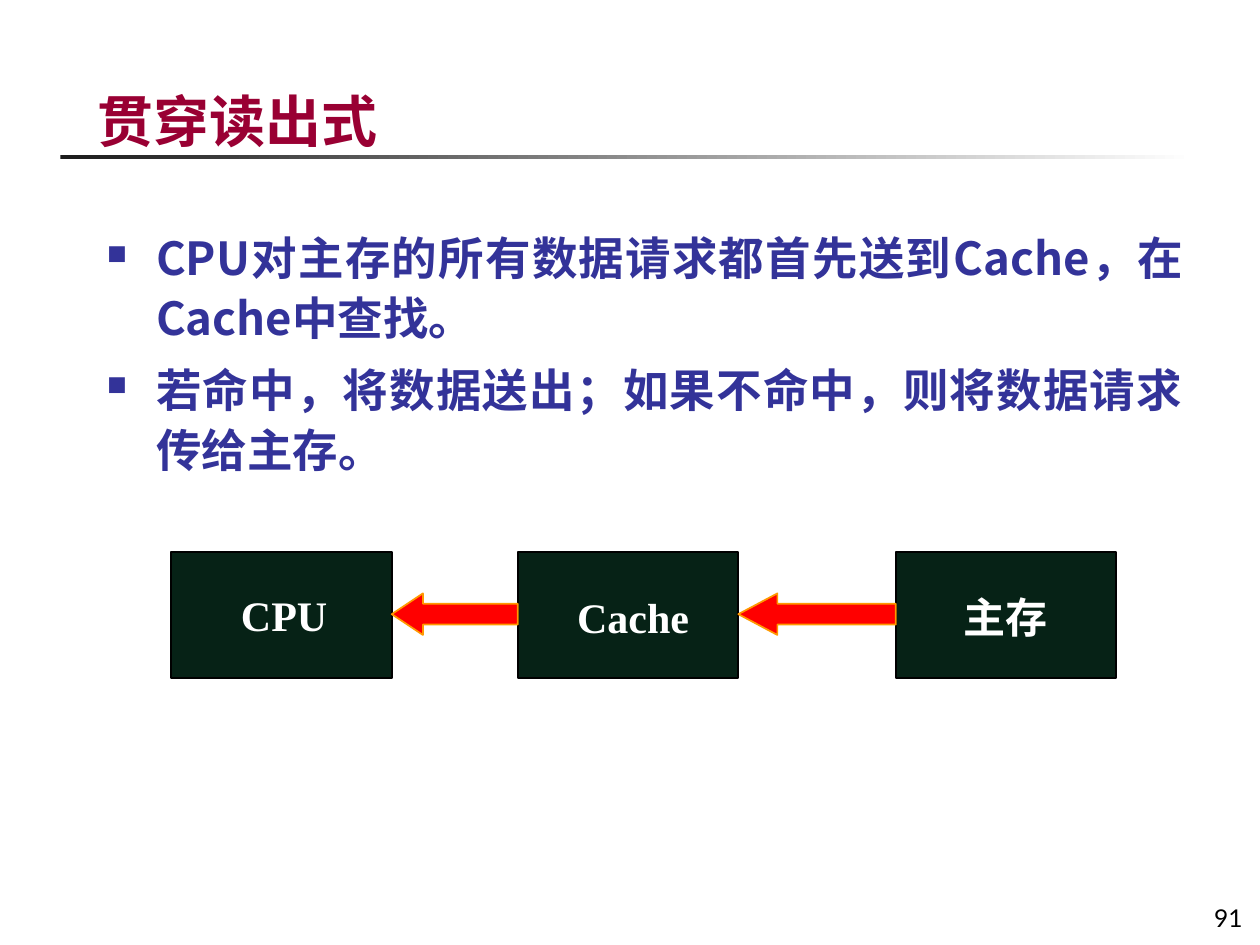
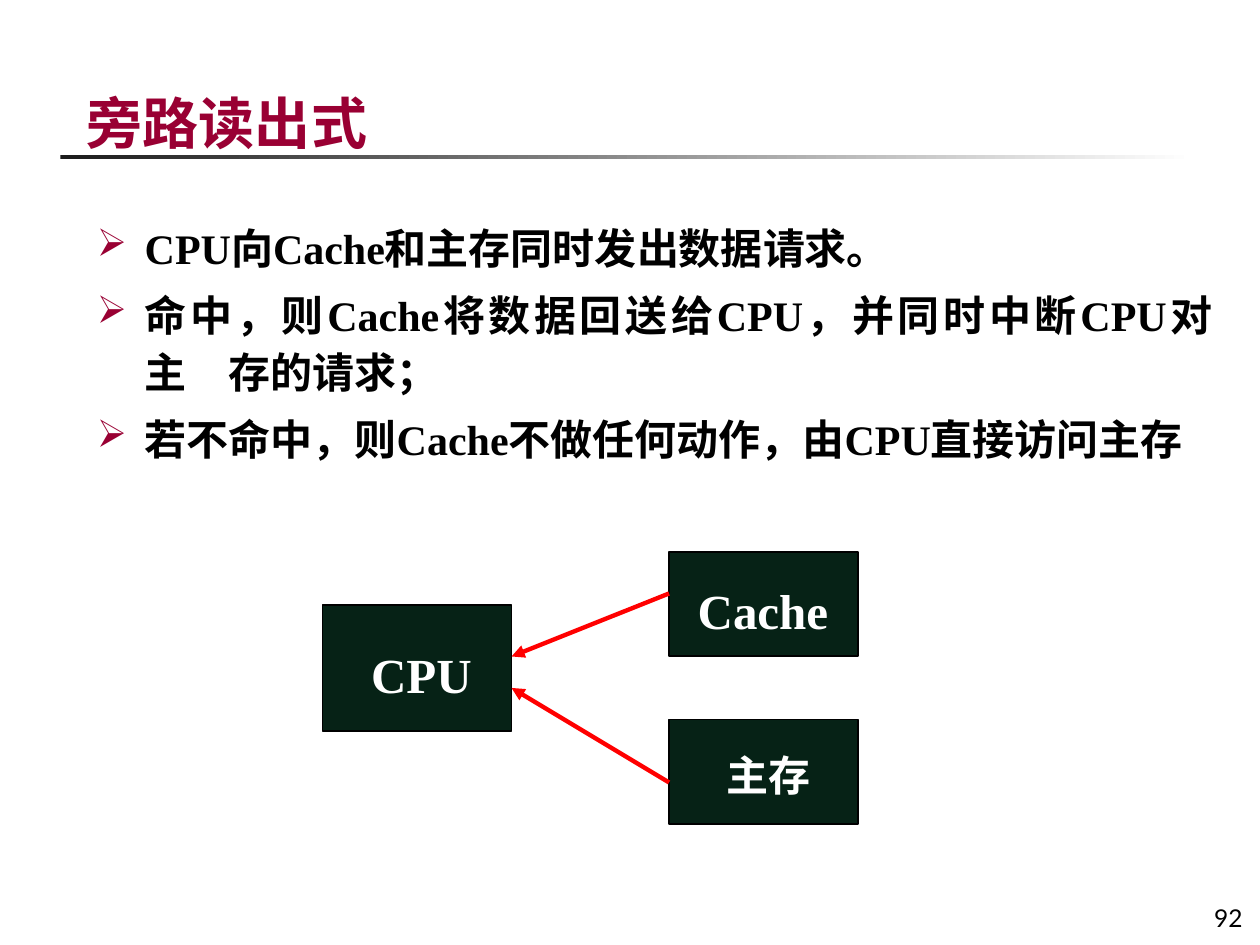
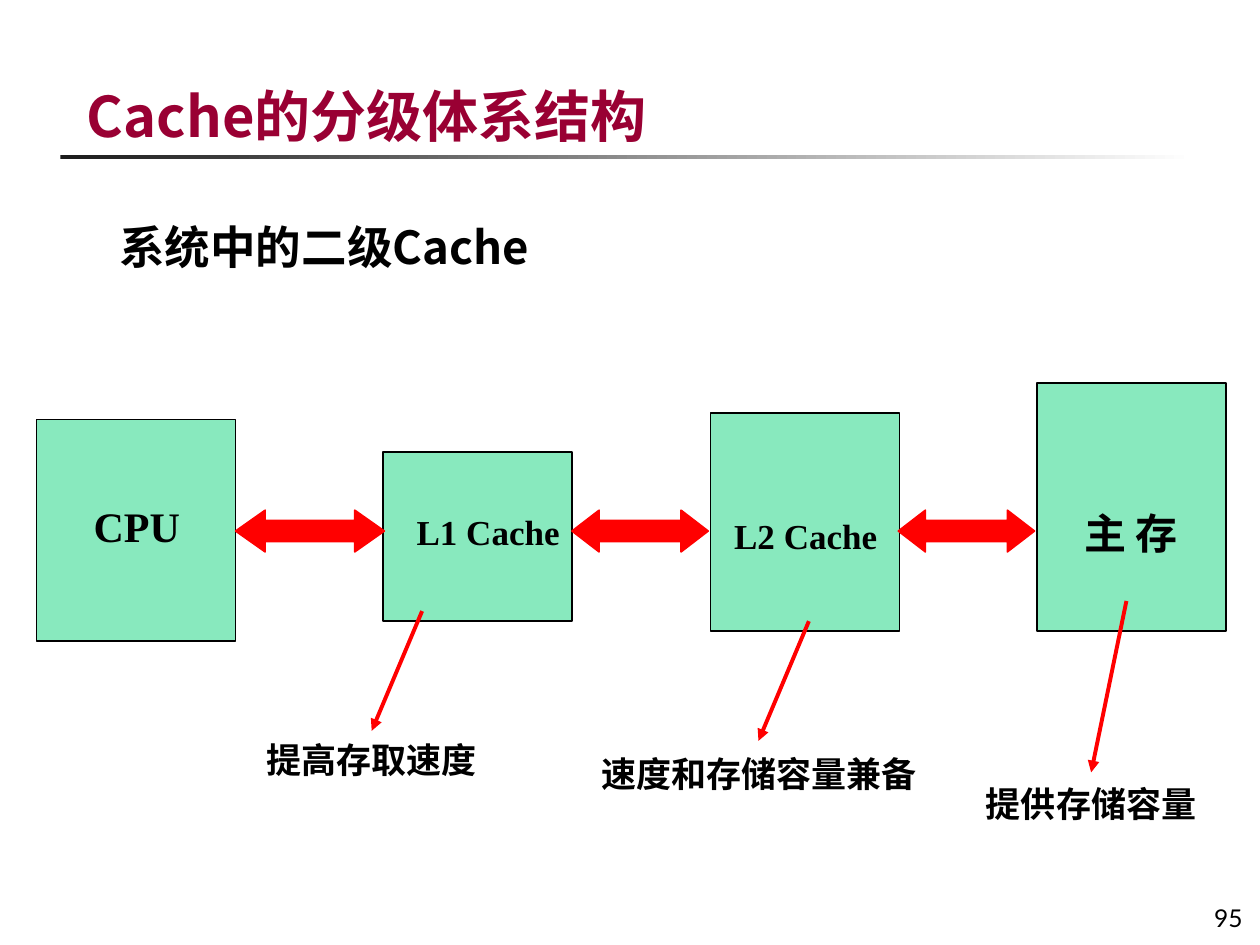
from lxml import etree
from pptx import Presentation
from pptx import util as u
from pptx.dml.color import RGBColor
from pptx.enum import shapes, text
from pptx.oxml import ns

PX = 9144  # 100 px to the inch
WINE = RGBColor(0x99, 0x00, 0x33)
NAVY = RGBColor(0x33, 0x33, 0x99)
PINE = RGBColor(0x06, 0x22, 0x16)
MINT = RGBColor(0x88, 0xE9, 0xBE)
RED = RGBColor(0xFF, 0x00, 0x00)
GOLD = RGBColor(0xFF, 0x99, 0x00)
COAL = RGBColor(0x1C, 0x1C, 0x1C)
BLACK = RGBColor(0x00, 0x00, 0x00)
WHITE = RGBColor(0xFF, 0xFF, 0xFF)
HAN, ROMAN, LATO = "Noto Sans CJK SC", "Times New Roman", "Lato"
LEFT, MID, RIGHT, FULL = (text.PP_ALIGN.LEFT, text.PP_ALIGN.CENTER,
                          text.PP_ALIGN.RIGHT, text.PP_ALIGN.JUSTIFY)
TOP, LOW = text.MSO_ANCHOR.TOP, text.MSO_ANCHOR.BOTTOM
KIND = shapes.MSO_SHAPE


def write(slide, words, box, size=24, font=HAN, color=BLACK, bold=True,
          align=MID, anchor=TOP, lead=None, after=0, bullet=None, hang=0,
          scale=100, tint=None, holder=None):
    """Put one paragraph per line of words in a new text box or a holder."""
    area = [n * PX for n in box]
    if holder is None:
        holder = slide.shapes.add_textbox(*area)
    holder.left, holder.top, holder.width, holder.height = area
    frame = holder.text_frame
    frame.word_wrap = True
    frame.auto_size = text.MSO_AUTO_SIZE.NONE
    frame.vertical_anchor = anchor
    for i, line in enumerate(words.split("\n")):
        para = frame.add_paragraph() if i else frame.paragraphs[0]
        para.alignment = align
        para.line_spacing = u.Pt(lead or size * 1.25)
        para.space_before, para.space_after = u.Pt(0), u.Pt(after)
        run = para.add_run()
        run.text = line
        run.font.size, run.font.bold = u.Pt(size), bold
        run.font.name, run.font.color.rgb = font, color
        east = etree.SubElement(run.font._element, ns.qn("a:ea"))
        east.set("typeface", HAN)
        if bullet:
            props = para._p.get_or_add_pPr()
            props.set("marL", str(hang * PX))
            props.set("indent", str(-hang * PX))
            shade = etree.SubElement(props, ns.qn("a:buClr"))
            etree.SubElement(shade, ns.qn("a:srgbClr")).set("val", str(tint or color))
            etree.SubElement(props, ns.qn("a:buSzPct")).set("val", str(scale * 1000))
            etree.SubElement(props, ns.qn("a:buChar")).set("char", bullet)


def block(slide, kind, box, fill, edge=BLACK, head=None):
    """Draw a filled preset shape; head is the length of an arrowhead."""
    form = slide.shapes.add_shape(kind, *[n * PX for n in box])
    form.shadow.inherit = False
    form.fill.solid()
    form.fill.fore_color.rgb = fill
    form.line.color.rgb, form.line.width = edge, u.Pt(1)
    if head:
        form.adjustments[1] = head
    return form


deck = Presentation()
deck.slide_width, deck.slide_height = 1000 * PX, 750 * PX

# Titles, rules and page numbers
pages = []
for name, num, x, y in [("贯穿读出式", "91", 67, 35),
                        ("旁路读出式", "92", 59, 33),
                        ("Cache的分级体系结构", "95", 59, 27)]:
    page = deck.slides.add_slide(deck.slide_layouts[5])
    rule = block(page, KIND.RECTANGLE, (48, 123, 900, 3), COAL)
    rule.line.fill.background()
    rule.fill.gradient()
    rule.fill.gradient_angle = 0
    for stop, color, spot in zip(rule.fill.gradient_stops, (COAL, WHITE), (0, 1)):
        stop.color.rgb, stop.position = color, spot
    write(page, num, (927, 695, 69, 50), size=14, font=LATO, bold=False,
          align=RIGHT, anchor=LOW)
    write(page, name, (x, y, 799, 92 if x == 67 else 96), size=32, color=WINE,
          align=LEFT, anchor=LOW, holder=page.shapes.title)
    pages.append(page)
through, aside, levels = pages

# Look-through: points, then a chain of boxes
write(through, "CPU对主存的所有数据请求都首先送到Cache，在Cache中查找。\n"
      "若命中，将数据送出；如果不命中，则将数据请求传给主存。",
      (75, 174, 874, 214), size=26, color=NAVY, align=FULL, lead=34, after=7.4,
      bullet="■", hang=39, scale=60)
for x in (136, 411, 711):
    block(through, KIND.RECTANGLE, (x, 438, 175, 100), PINE)
for name, font, box in [("CPU", ROMAN, (167, 461, 117, 50)),
                        ("Cache", ROMAN, (436, 463, 133, 50)),
                        ("主存", HAN, (744, 463, 108, 50))]:
    write(through, name, box, font=font, color=WHITE)
for x, wide, head in [(586, 125, 0.94), (311, 100, 0.75)]:
    block(through, KIND.LEFT_ARROW, (x, 471, wide, 33), RED, GOLD, head)

# Look-aside: points, then two sources feeding the CPU
write(aside, "CPU向Cache和主存同时发出数据请求。\n"
      "命中，则Cache将数据回送给CPU，并同时中断CPU对主　存的请求；\n"
      "若不命中，则Cache不做任何动作，由CPU直接访问主存",
      (67, 166, 905, 258), font=ROMAN, align=FULL, lead=33, after=5,
      bullet="➢", hang=38, scale=91, tint=WINE)
for box in [(256, 480, 150, 100), (531, 438, 150, 83), (531, 571, 150, 83)]:
    block(aside, KIND.RECTANGLE, box, PINE)
for name, font, size, box in [("CPU", ROMAN, 28, (276, 505, 117, 57)),
                              ("Cache", ROMAN, 28, (539, 454, 133, 57)),
                              ("主存", HAN, 24, (556, 588, 108, 50))]:
    write(aside, name, box, size=size, font=font, color=WHITE)

# Cache levels: boxes, double arrows and captions
write(levels, "系统中的二级Cache", (85, 162, 580, 84), size=26, align=FULL, lead=36)
for box in [(29, 333, 158, 176), (564, 328, 150, 173),
            (304, 359, 150, 134), (823, 304, 150, 197)]:
    block(levels, KIND.RECTANGLE, box, MINT)
for x, wide, head in [(187, 118, 0.71), (454, 108, 0.65), (713, 108, 0.65)]:
    block(levels, KIND.LEFT_RIGHT_ARROW, (x, 405, wide, 33), RED, RED, head)
for name, font, size, box in [("CPU", ROMAN, 24, (54, 391, 109, 50)),
                              ("L1 Cache", ROMAN, 20, (306, 399, 163, 44)),
                              ("L2 Cache", ROMAN, 20, (563, 402, 153, 44)),
                              ("主 存", HAN, 24, (839, 396, 117, 50)),
                              ("提高存取速度", HAN, 20, (169, 580, 252, 44)),
                              ("速度和存储容量兼备", HAN, 20, (461, 591, 283, 44)),
                              ("提供存储容量", HAN, 20, (752, 615, 228, 44))]:
    write(levels, name, box, size=size, font=font)

# Thin red arrows
for page, ends, wide in [(aside, (531, 471, 406, 521), 2.5),
                         (aside, (531, 621, 406, 546), 2.5),
                         (levels, (335, 485, 295, 580), 2.25),
                         (levels, (642, 493, 602, 588), 2.25),
                         (levels, (894, 477, 866, 613), 2.25)]:
    link = page.shapes.add_connector(shapes.MSO_CONNECTOR.STRAIGHT,
                                     *[n * PX for n in ends])
    link.line.color.rgb, link.line.width = RED, u.Pt(wide)
    etree.SubElement(link.line._get_or_add_ln(), ns.qn("a:tailEnd")).set("type", "triangle")
    etree.SubElement(link._element.spPr, ns.qn("a:effectLst"))

deck.save("out.pptx")
